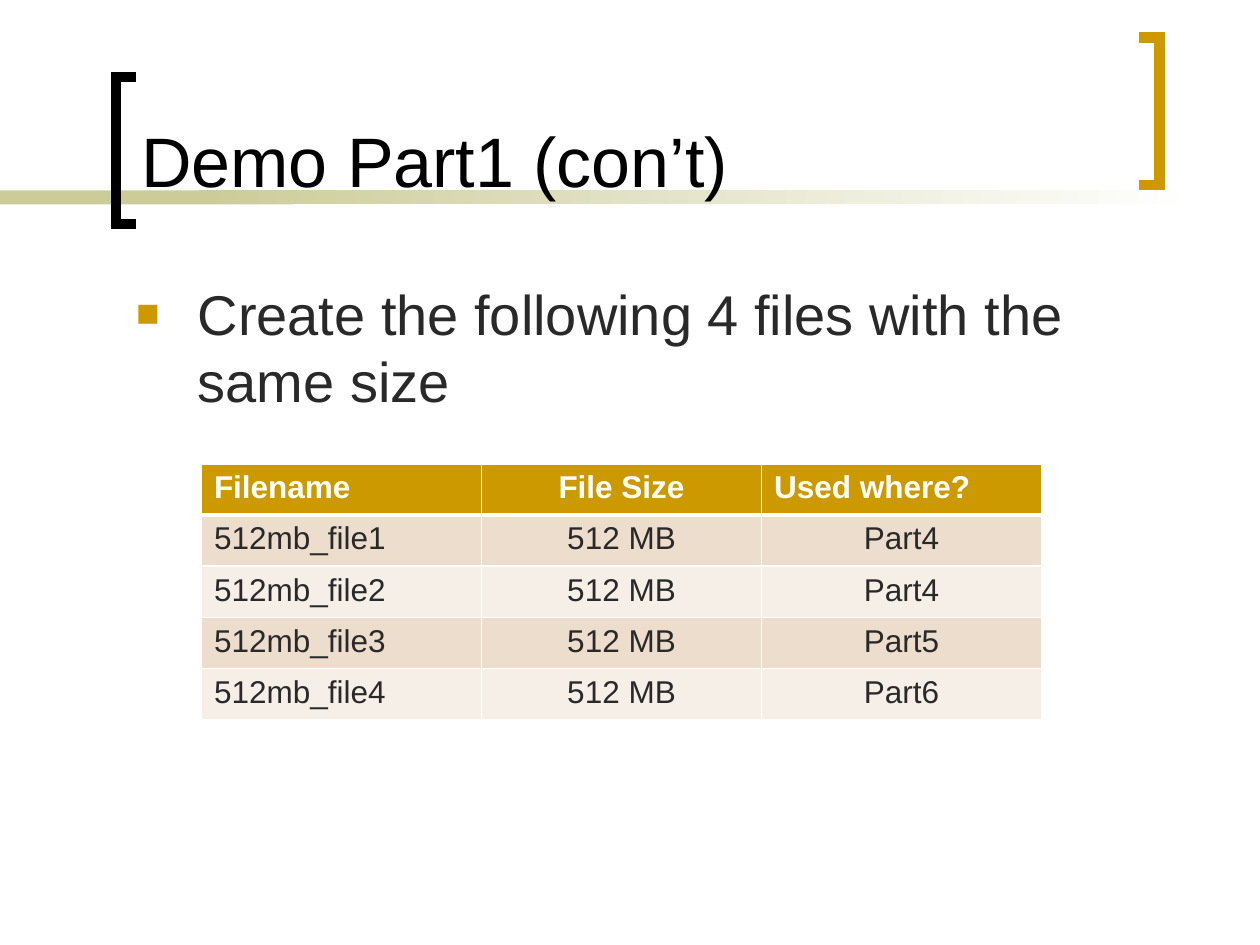
from dataclasses import dataclass
from lxml import etree
from pptx import Presentation
from pptx.dml.color import RGBColor
from pptx.enum.shapes import MSO_SHAPE
from pptx.enum.text import MSO_ANCHOR, MSO_AUTO_SIZE, PP_ALIGN
from pptx.oxml.ns import qn
from pptx.util import Cm, Pt

RECT = MSO_SHAPE.RECTANGLE
TOP, BOTTOM = MSO_ANCHOR.TOP, MSO_ANCHOR.BOTTOM
LEFT, CENTER = PP_ALIGN.LEFT, PP_ALIGN.CENTER
FIXED = MSO_AUTO_SIZE.NONE


@dataclass(frozen=True)
class Theme:
    face: str = "Arial"
    black: str = "000000"
    ink: str = "292929"
    white: str = "FFFFFF"
    gold: str = "CC9900"
    sage: str = "CCCC99"
    rows: tuple = ("F5EFE7", "ECDDCC")
    title: int = 40
    body: int = 32
    cell: int = 18


theme = Theme()


def style(par, size, color, align=LEFT, bold=False):
    par.alignment = align
    font = par.font
    font.name, font.size, font.bold = theme.face, Pt(size), bold
    font.color.rgb = RGBColor.from_string(color)


def add(parent, tag, **attrs):
    node = etree.SubElement(parent, qn(tag))
    for key, value in attrs.items():
        node.set(key, str(value))
    return node


deck = Presentation()
deck.slide_width, deck.slide_height = Cm(25.4), Cm(19.05)
slide = deck.slides.add_slide(deck.slide_layouts[1])
shapes = slide.shapes
title, body = slide.placeholders

for left, width, fade in ((0, 5.92, False), (4.01, 20.12, True)):
    band = shapes.add_shape(RECT, Cm(left), Cm(3.84), Cm(width), Cm(0.28))
    band.shadow.inherit = False
    band.line.fill.background()
    if fade:
        band.fill.gradient()
        band.fill.gradient_angle = 0
        for stop, color in zip(band.fill.gradient_stops, (theme.sage, theme.white)):
            stop.color.rgb = RGBColor.from_string(color)
    else:
        band.fill.solid()
        band.fill.fore_color.rgb = RGBColor.from_string(theme.sage)
    title.element.addprevious(band.element)

for tip, spine, top, color in ((2.74, 2.34, 1.55, theme.black),
                               (22.96, 23.37, 0.76, theme.gold)):
    base = top + 2.97
    path = shapes.build_freeform(Cm(tip), Cm(top))
    path.add_line_segments([(Cm(spine), Cm(top)), (Cm(spine), Cm(base)),
                            (Cm(tip), Cm(base))], close=False)
    bracket = path.convert_to_shape()
    bracket.shadow.inherit = False
    bracket.fill.background()
    bracket.line.width = Pt(6)
    bracket.line.color.rgb = RGBColor.from_string(color)
    add(bracket.element.spPr.find(qn("a:ln")), "a:miter", lim=800000)
    title.element.addprevious(bracket.element)

for holder, box, anchor, text, size, color in (
    (title, (2.59, 0.28, 19.89, 3.91), BOTTOM,
     "Demo Part1 (con’t)", theme.title, theme.black),
    (body, (2.49, 5.51, 21.01, 12.83), TOP,
     "Create the following 4 files with the same size", theme.body, theme.ink),
):
    holder.left, holder.top, holder.width, holder.height = map(Cm, box)
    frame = holder.text_frame
    frame.text = text
    frame.word_wrap = True
    frame.auto_size = FIXED
    frame.vertical_anchor = anchor
    style(frame.paragraphs[0], size, color)

item = body.text_frame.paragraphs[0]
item.space_before = Pt(6.4)
props = item._p.get_or_add_pPr()
props.set("marL", str(Cm(1.24)))
props.set("indent", str(Cm(-1.24)))
add(add(props, "a:buClr"), "a:srgbClr", val=theme.gold)
add(props, "a:buSzPct", val=70000)
add(props, "a:buFont", typeface=theme.face)
add(props, "a:buChar", char="■")
fonts = props.find(qn("a:defRPr"))
if fonts is not None:
    props.append(fonts)

data = [("Filename", "File Size", "Used where?")]
for num, part in enumerate((4, 4, 5, 6), 1):
    data.append((f"512mb_file{num}", "512 MB", f"Part{part}"))

grid = shapes.add_table(len(data), 3, Cm(4.06), Cm(9.35), Cm(16.94), Cm(5.16)).table
for row, texts in enumerate(data):
    head = row == 0
    for col, text in enumerate(texts):
        cell = grid.cell(row, col)
        cell.text = text
        middle = col == 1 or (col == 2 and not head)
        style(cell.text_frame.paragraphs[0], theme.cell,
              theme.white if head else theme.ink, CENTER if middle else LEFT, head)
        edges = cell._tc.get_or_add_tcPr()
        for side in ("L", "R", "T", "B"):
            thick = (row, side) in ((0, "B"), (1, "T"))
            line = add(edges, f"a:ln{side}", w=Pt(3 if thick else 0.96))
            add(add(line, "a:solidFill"), "a:srgbClr", val=theme.white)
        cell.fill.solid()
        shade = theme.gold if head else theme.rows[row % 2]
        cell.fill.fore_color.rgb = RGBColor.from_string(shade)

deck.save("out.pptx")
